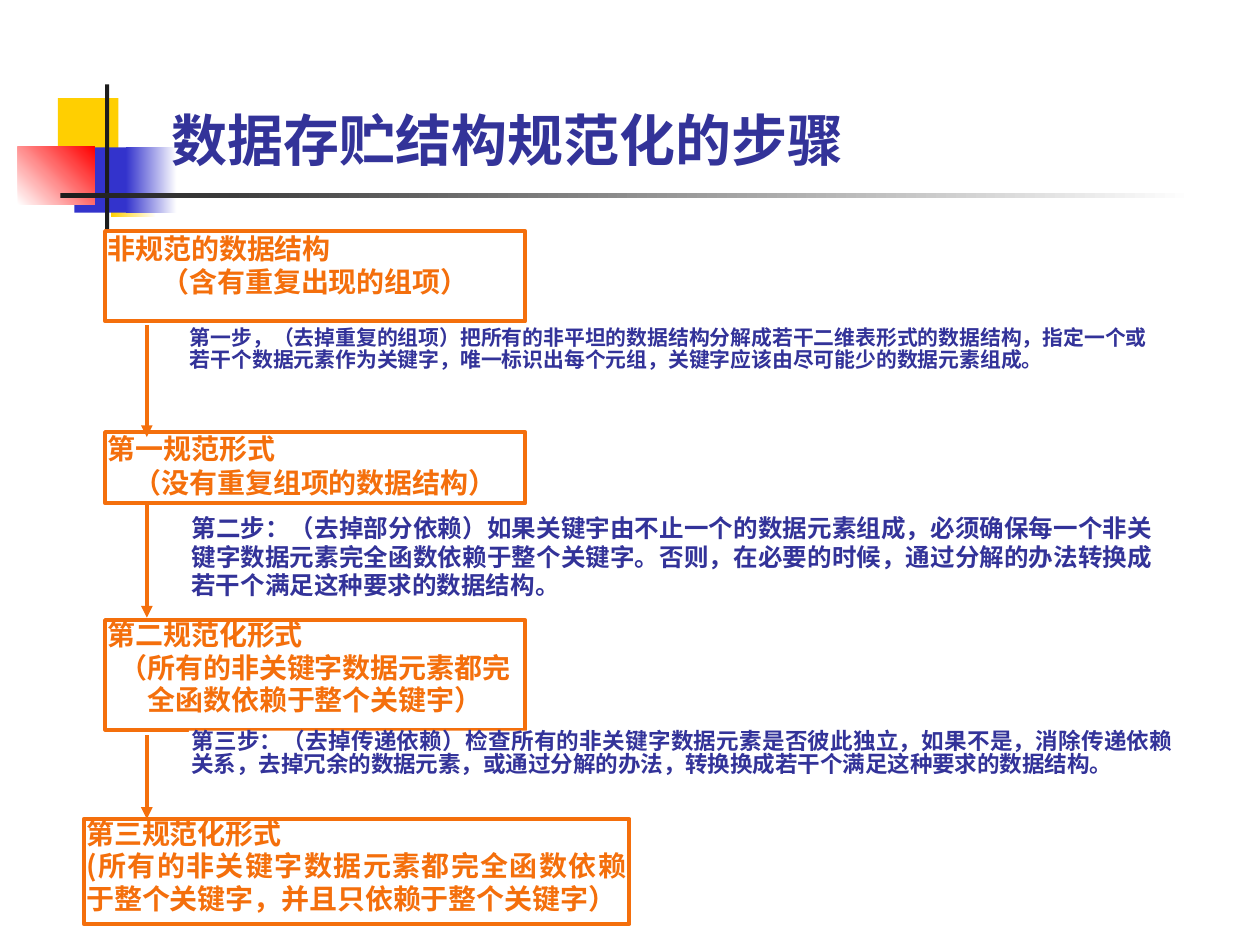
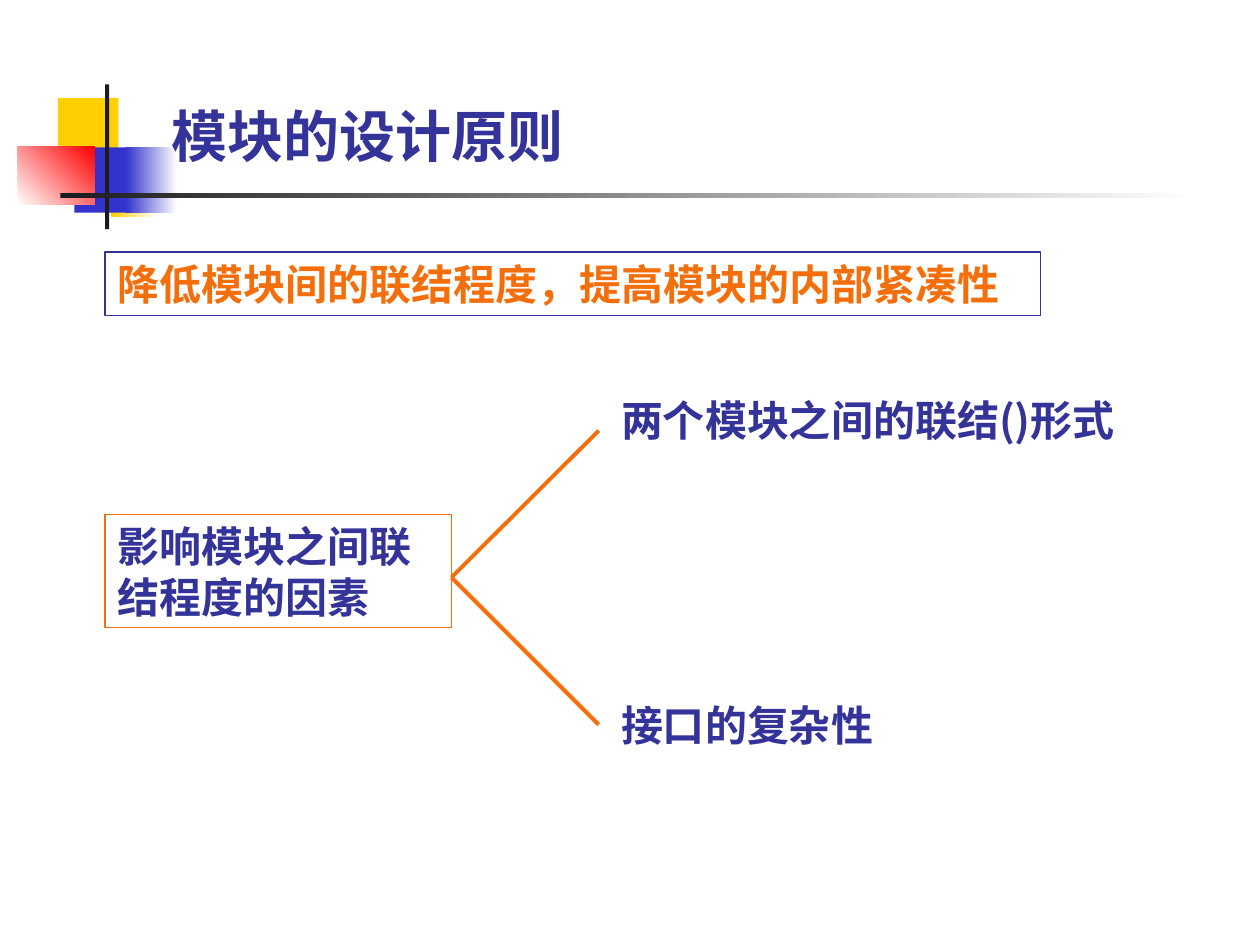
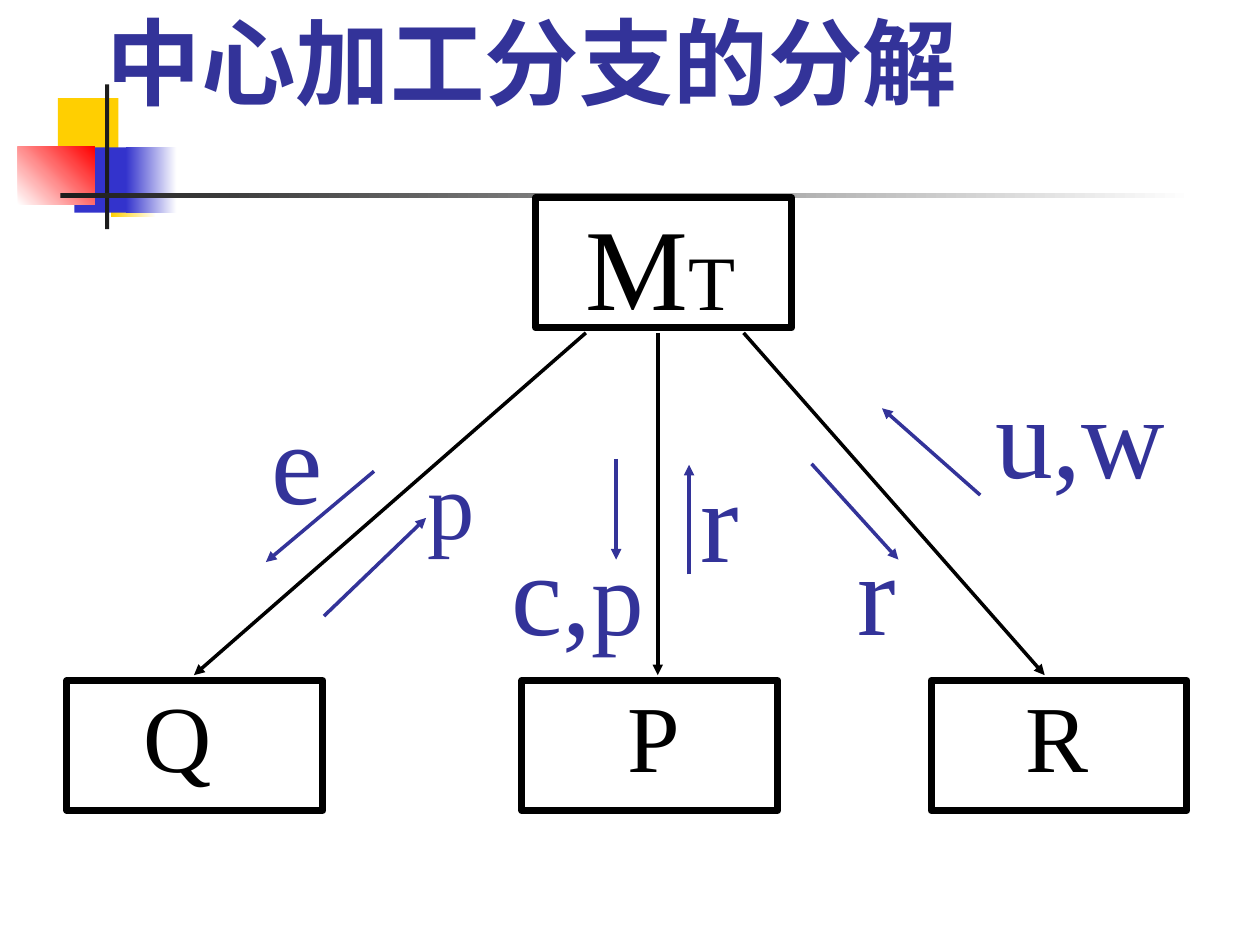
from lxml import etree
from pptx import Presentation
from pptx.dml.color import RGBColor
from pptx.enum import shapes, text
from pptx.oxml import ns
from pptx.util import Cm, Pt

COLOURS = {"navy": "333399", "orange": "F46F0C", "black": "000000", "white": "FFFFFF",
           "yellow": "FFCF01", "blue": "3333CC", "red": "FF0000", "ink": "1C1C1C"}
HAN, ROMAN, LATIN = "Noto Sans CJK SC", "Times New Roman", "Cabin"
LEFT, CENTER, JUSTIFY = text.PP_ALIGN.LEFT, text.PP_ALIGN.CENTER, text.PP_ALIGN.JUSTIFY
TOP, MIDDLE, BOTTOM = text.MSO_ANCHOR.TOP, text.MSO_ANCHOR.MIDDLE, text.MSO_ANCHOR.BOTTOM
WIDE_INSETS, TIGHT_INSETS = (0.25, 0.13), (0.05, 0)

# All places are left, top, width, height in centimetres.
MOTIF = [
    ((1.17, 1.98, 1.22, 1.32), ["yellow"], 0),
    ((2.24, 3.05, 0.91, 1.32), ["yellow", "white"], 0),
    ((1.5, 2.97, 1.17, 1.32), ["blue"], 0),
    ((2.54, 2.97, 1.02, 1.32), ["blue", "white"], 0),
    ((0.36, 2.96, 1.55, 1.17), ["white", "red"], 45),
    ((2.12, 1.7, 0.08, 2.92), ["ink"], 0),
    ((1.22, 3.89, 22.86, 0.1), ["ink", "white"], 0),
]
TITLE_PLACE = (3.2, 0.43, 21.64, 3.18)

# Place, line spacing, heading, alignment of the explanation, explanation
FORMS = [
    ((2.12, 4.66, 8.47, 1.82), 1, "非规范的数据结构", CENTER, "（含有重复出现的组项）"),
    ((2.12, 8.71, 8.47, 1.44), 1, "第一规范形式", CENTER, "（没有重复组项的数据结构）"),
    ((2.12, 12.5, 8.47, 2.21), 0.96, "第二规范化形式", CENTER,
     "（所有的非关键字数据元素都完全函数依赖于整个关键宇）"),
    ((1.69, 16.51, 11, 2.12), 0.96, "第三规范化形式", JUSTIFY,
     "(所有的非关键字数据元素都完全函数依赖于整个关键字，并且只依赖于整个关键字）"),
]
STEP_ARROW_X = 2.96
STEP_ARROWS = [(6.56, 8.81), (10.16, 12.45), (14.82, 16.51)]
# Place, size, line spacing, alignment, wording
STEPS = [
    ((3.78, 6.6, 19.53, 1.42), 11.9, 0.9, LEFT,
     "第一步，（去掉重复的组项）把所有的非平坦的数据结构分解成若干二维表形式的数据结构，"
     "指定一个或若干个数据元素作为关键字，唯一标识出每个元组，关键字应该由尽可能少的数据元素组成。"),
    ((3.81, 10.39, 19.48, 1.83), 14, 0.96, JUSTIFY,
     "第二步：（去掉部分依赖）如果关键宇由不止一个的数据元素组成，必须确保每一个非关键字数据元素"
     "完全函数依赖于整个关键字。否则，在必要的时候，通过分解的办法转换成若干个满足这种要求的数据结构。"),
    ((3.81, 14.73, 19.89, 1.37), 12.9, 0.86, JUSTIFY,
     "第三步：（去掉传递依赖）检查所有的非关键字数据元素是否彼此独立，如果不是，消除传递依赖关系，"
     "去掉冗余的数据元素，或通过分解的办法，转换换成若干个满足这种要求的数据结构。"),
]

# Place, border, text colour, wording
PRINCIPLES = [
    ((2.12, 5.08, 18.85, 1.28), "navy", "orange", "降低模块间的联结程度，提高模块的内部紧凑性"),
    ((2.12, 10.37, 6.98, 2.28), "orange", "navy", "影响模块之间联结程度的因素"),
    ((12.27, 7.82, 11.23, 1.28), None, "navy", "两个模块之间的联结()形式"),
    ((12.27, 13.97, 11.43, 1.28), None, "navy", "接口的复杂性"),
]
FORK_START, FORK_ENDS = (9.1, 11.64), [(12.07, 8.68), (12.07, 14.61)]

MODULE_SIZE = (5.16, 2.62)
# Corner of the box, place of its label, label spans
MODULES = [
    ((10.8, 3.99), (11.56, 3.81, 3.53, 3.05), [("M", 66), ("T", 44)]),
    ((10.52, 13.72), (12.4, 13.54, 1.57, 2.54), [("P", 54)]),
    ((1.35, 13.72), (2.64, 13.54, 1.88, 2.54), [("Q", 54)]),
    ((18.77, 13.72), (20.42, 13.54, 1.78, 2.54), [("R", 54)]),
]
CALLS = [((13.26, 6.71), (13.26, 13.61)), ((14.99, 6.71), (21.06, 13.61)),
         ((11.81, 6.71), (3.91, 13.61))]
FLOWS = [((7.54, 9.5), (5.36, 11.33)), ((12.42, 9.25), (12.42, 11.28)),
         ((13.89, 11.58), (13.89, 9.37)), ((19.76, 9.98), (17.78, 8.23)),
         ((6.53, 12.42), (8.59, 10.44)), ((16.36, 9.35), (18.11, 11.28))]
FLOW_LABELS = [
    ((5.23, 7.72, 1.55, 3.05), [("e", 66)]),
    ((10.06, 10.36, 3.18, 3.05), [("c,", 66), ("p", 60)]),
    ((13.87, 8.89, 1.27, 3.05), [("r", 66)]),
    ((19.81, 7.19, 3.94, 3.05), [("u,w", 66)]),
    ((8.36, 8.84, 1.45, 2.54), [("p", 54)]),
    ((17.04, 10.36, 1.27, 3.05), [("r", 66)]),
]


def rgb(name):
    return RGBColor.from_string(COLOURS[name])


def add_box(page, place, fills=(), border=None, width=0.75, angle=0):
    """Add a rectangle with no fill, one fill colour or a gradient of two."""
    box = page.shapes.add_shape(shapes.MSO_SHAPE.RECTANGLE, *map(Cm, place))
    box.shadow.inherit = False
    if len(fills) == 2:
        box.fill.gradient()
        box.fill.gradient_angle = angle
        for stop, name in zip(box.fill.gradient_stops, fills):
            stop.color.rgb = rgb(name)
    elif fills:
        box.fill.solid()
        box.fill.fore_color.rgb = rgb(fills[0])
    else:
        box.fill.background()
    if border:
        box.line.color.rgb = rgb(border)
        box.line.width = Pt(width)
    else:
        box.line.fill.background()
    return box


def add_text_box(page, place):
    return page.shapes.add_textbox(*map(Cm, place))


def add_line(page, start, end, colour, width, arrow=True):
    line = page.shapes.add_connector(shapes.MSO_CONNECTOR.STRAIGHT, *map(Cm, start + end))
    line.line.color.rgb = rgb(colour)
    line.line.width = Pt(width)
    if arrow:
        etree.SubElement(line.line._get_or_add_ln(), ns.qn("a:tailEnd"), type="triangle")
    etree.SubElement(line._element.spPr, ns.qn("a:effectLst"))


def set_frame(box, insets=WIDE_INSETS, anchor=TOP, wrap=True):
    frame = box.text_frame
    frame.word_wrap = wrap
    frame.auto_size = text.MSO_AUTO_SIZE.NONE if wrap else text.MSO_AUTO_SIZE.SHAPE_TO_FIT_TEXT
    frame.vertical_anchor = anchor
    frame.margin_left = frame.margin_right = Cm(insets[0])
    frame.margin_top = frame.margin_bottom = Cm(insets[1])
    return frame


def add_span(para, wording, size, colour, font=HAN, bold=True):
    span = para.add_run()
    span.text = wording
    span.font.name = font
    span.font.size = Pt(size)
    span.font.bold = bold
    span.font.color.rgb = rgb(colour)
    etree.SubElement(span._r.get_or_add_rPr(), ns.qn("a:ea"), typeface=HAN)


def style_para(para, align=LEFT, spacing=1):
    para.alignment = align
    para.line_spacing = float(spacing)
    return para


def add_label(page, place, spans, colour):
    frame = set_frame(add_text_box(page, place), wrap=False)
    para = style_para(frame.paragraphs[0])
    for wording, size in spans:
        add_span(para, wording, size, colour, ROMAN, False)


def add_page(deck, title, place=TITLE_PLACE, size=32, anchor=BOTTOM):
    """Add a page with the corner motif; return it with its title paragraph."""
    page = deck.slides.add_slide(deck.slide_layouts[6])
    for part, fills, angle in MOTIF:
        add_box(page, part, fills, angle=angle)
    frame = set_frame(add_text_box(page, place), anchor=anchor)
    para = style_para(frame.paragraphs[0])
    add_span(para, title, size, "navy")
    return page, para


def build_normal_forms(deck):
    page, _ = add_page(deck, "数据存贮结构规范化的步骤")
    for place, spacing, heading, align, explanation in FORMS:
        frame = set_frame(add_box(page, place, ["white"], "orange", 2.25), TIGHT_INSETS)
        add_span(style_para(frame.paragraphs[0], JUSTIFY, spacing), heading, 16, "orange", ROMAN)
        font = ROMAN if align == CENTER else HAN
        add_span(style_para(frame.add_paragraph(), align, spacing), explanation, 16, "orange", font)
    for top, bottom in STEP_ARROWS:
        add_line(page, (STEP_ARROW_X, top), (STEP_ARROW_X, bottom), "orange", 2.25)
    for place, size, spacing, align, wording in STEPS:
        frame = set_frame(add_box(page, place, ["white"]), TIGHT_INSETS)
        font = ROMAN if align == LEFT else HAN
        add_span(style_para(frame.paragraphs[0], align, spacing), wording, size, "navy", font)


def build_principles(deck):
    page, title = add_page(deck, "模块的设计原则")
    add_span(title, " ", 44, "navy", LATIN, False)
    for place, border, colour, wording in PRINCIPLES:
        box = add_box(page, place, border=border) if border else add_text_box(page, place)
        add_span(style_para(set_frame(box).paragraphs[0]), wording, 24, colour)
    for end in FORK_ENDS:
        add_line(page, FORK_START, end, "orange", 2.25, arrow=False)


def build_decomposition(deck):
    page, _ = add_page(deck, "中心加工分支的分解", (1.9, 0.15, 21.16, 2.16), 54, MIDDLE)
    for corner, label_place, spans in MODULES:
        add_box(page, corner + MODULE_SIZE, ["white"], "black", 4)
        add_label(page, label_place, spans, "black")
    for arrows, colour in ((CALLS, "black"), (FLOWS, "navy")):
        for start, end in arrows:
            add_line(page, start, end, colour, 2)
    for place, spans in FLOW_LABELS:
        add_label(page, place, spans, "navy")


def main():
    deck = Presentation()
    deck.slide_width, deck.slide_height = Cm(25.4), Cm(19.05)
    build_normal_forms(deck)
    build_principles(deck)
    build_decomposition(deck)
    deck.save("out.pptx")


if __name__ == "__main__":
    main()
